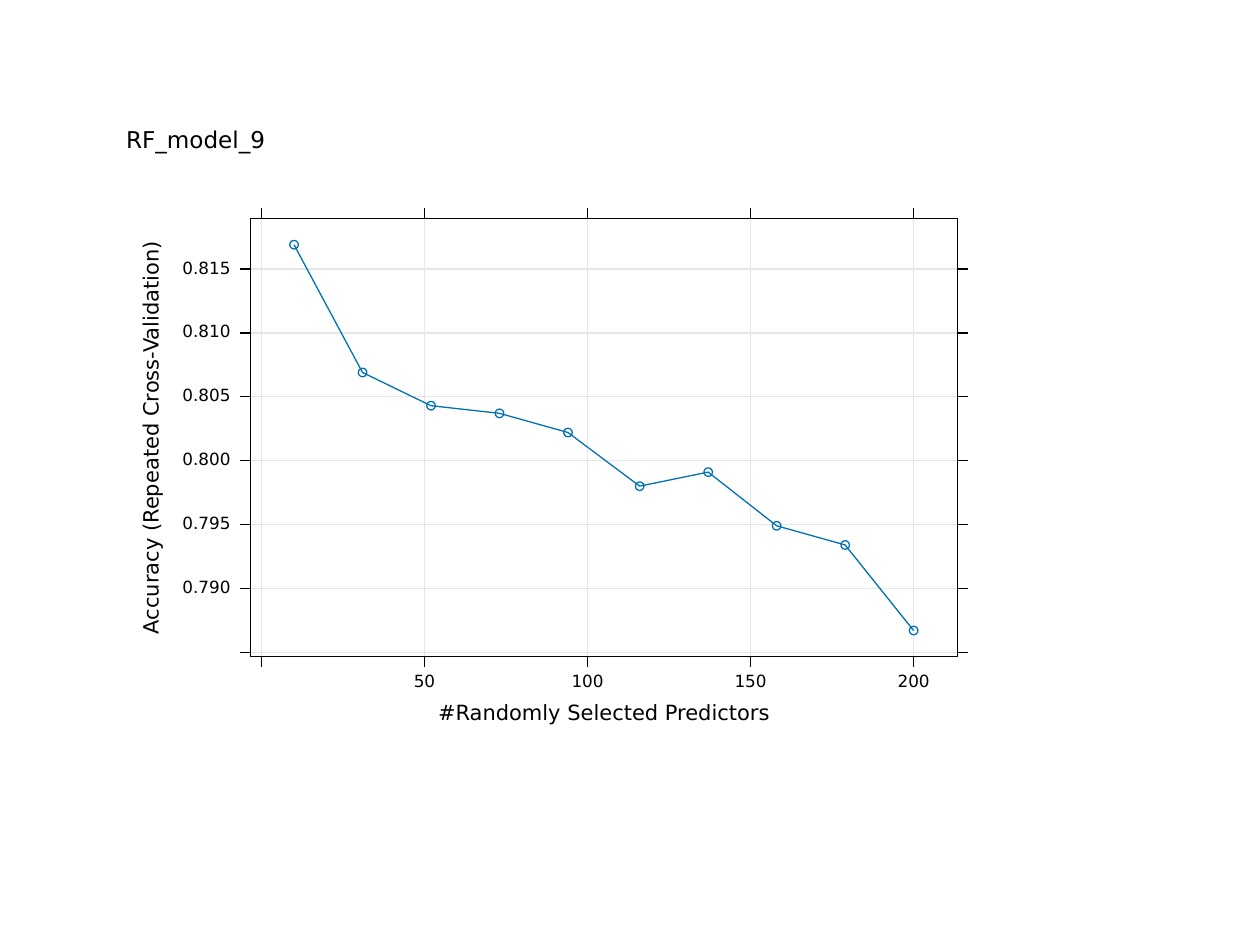
from pptx import Presentation
from pptx import util as u
from pptx.dml.color import RGBColor
from pptx.enum import shapes, text
from pptx.oxml.ns import qn
from lxml import etree

COLORS = {"ink": "000000", "grid": "E5E5E5", "series": "0072B2", "paper": "FFFFFF"}
FONT = "DejaVu Sans"
COLUMNS, ROWS = 100, 75
CELL = u.Inches(0.1)

# Plot panel and tick length, in grid cells
LEFT, TOP, RIGHT, BOTTOM = 19.88, 17.34, 76.0, 52.1
TICK = 0.8
MARKER = 0.68

PREDICTOR_TICKS = [0, 50, 100, 150, 200]
ACCURACY_TICKS = [0.785, 0.79, 0.795, 0.8, 0.805, 0.81, 0.815]
RESULTS = [
    (10, 0.8169), (31, 0.8069), (52, 0.8043), (73, 0.8037), (94, 0.8022),
    (116, 0.798), (137, 0.7991), (158, 0.7949), (179, 0.7934), (200, 0.7867),
]


def cells(*counts):
    return [round(count * CELL) for count in counts]


def column_of(predictors):
    return 20.75 + 12.94 * predictors / 50


def row_of(accuracy):
    return 21.35 + 5.07 * (0.815 - accuracy) / 0.005


def color(name):
    return RGBColor.from_string(COLORS[name])


def set_outline(item, name):
    item.line.color.rgb = color(name)
    item.line.width = u.Pt(0.75)


def add_line(page, name, *ends):
    line = page.shapes.add_connector(shapes.MSO_CONNECTOR.STRAIGHT, *cells(*ends))
    set_outline(line, name)
    etree.SubElement(line._element.spPr, qn("a:effectLst"))


def add_outlined(page, kind, name, bounds, fill=None):
    shape = page.shapes.add_shape(kind, *cells(*bounds))
    shape.shadow.inherit = False
    if fill:
        shape.fill.solid()
        shape.fill.fore_color.rgb = color(fill)
    else:
        shape.fill.background()
    set_outline(shape, name)


def write(box, words, size, align):
    frame = box.text_frame
    frame.margin_left = frame.margin_right = frame.margin_top = frame.margin_bottom = 0
    frame.word_wrap = False
    frame.auto_size = text.MSO_AUTO_SIZE.NONE
    frame.vertical_anchor = text.MSO_ANCHOR.MIDDLE
    para = frame.paragraphs[0]
    para.alignment = align
    para.line_spacing = u.Pt(size)
    span = para.add_run()
    span.text = words
    span.font.size = u.Pt(size)
    span.font.name = FONT
    span.font.color.rgb = color("ink")


def add_label(page, words, size, center, extent, rotation=0,
              align=text.PP_ALIGN.CENTER):
    """Place a text box by its centre, so that it can be rotated in place."""
    (column, row), (width, height) = center, extent
    box = page.shapes.add_textbox(
        *cells(column - width / 2, row - height / 2, width, height))
    box.rotation = rotation
    write(box, words, size, align)


def add_title(page, words):
    title = page.shapes.title
    title.left, title.top, title.width, title.height = cells(10, 10.3, 12, 1.84)
    write(title, words, 13.2, text.PP_ALIGN.LEFT)


def add_predictor_axis(page):
    for value in PREDICTOR_TICKS:
        column = column_of(value)
        add_line(page, "grid", column, BOTTOM, column, TOP)
        add_line(page, "ink", column, TOP, column, TOP - TICK)
        add_line(page, "ink", column, BOTTOM, column, BOTTOM + TICK)
        if value:
            add_label(page, str(value), 9.6, (column, 54.2), (2.5, 1))
    add_label(page, "#Randomly Selected Predictors", 12,
              ((LEFT + RIGHT) / 2, 56.7), (26.4, 1.6))


def add_accuracy_axis(page):
    for value in ACCURACY_TICKS:
        row = row_of(value)
        add_line(page, "grid", LEFT, row, RIGHT, row)
        add_line(page, "ink", LEFT, row, LEFT - TICK, row)
        add_line(page, "ink", RIGHT, row, RIGHT + TICK, row)
        if value > ACCURACY_TICKS[0]:
            add_label(page, f"{value:.3f}", 9.6, (16.4, row), (3.8, 1),
                      align=text.PP_ALIGN.RIGHT)
    add_label(page, "Accuracy (Repeated Cross-Validation)", 12,
              (12.1, (TOP + BOTTOM) / 2), (31.6, 1.6), rotation=270)


def add_series(page):
    points = [(column_of(x), row_of(y)) for x, y in RESULTS]
    for column, row in points:
        add_outlined(page, shapes.MSO_SHAPE.OVAL, "series",
                     (column - MARKER / 2, row - MARKER / 2, MARKER, MARKER))
    start, *others = [cells(*point) for point in points]
    builder = page.shapes.build_freeform(*start)
    builder.add_line_segments(others, close=False)
    curve = builder.convert_to_shape()
    curve.shadow.inherit = False
    curve.fill.background()
    set_outline(curve, "series")


def main():
    deck = Presentation()
    deck.slide_width, deck.slide_height = cells(COLUMNS, ROWS)
    page = deck.slides.add_slide(deck.slide_layouts.get_by_name("Title Only"))
    rectangle = shapes.MSO_SHAPE.RECTANGLE
    add_outlined(page, rectangle, "paper", (10, 10, 70, 50), fill="paper")
    add_accuracy_axis(page)
    add_predictor_axis(page)
    add_series(page)
    add_outlined(page, rectangle, "ink", (LEFT, TOP, RIGHT - LEFT, BOTTOM - TOP))
    add_title(page, "RF_model_9")
    # The title stands in front of the white plot area
    page.shapes._spTree.append(page.shapes.title._element)
    deck.save("out.pptx")


if __name__ == "__main__":
    main()
